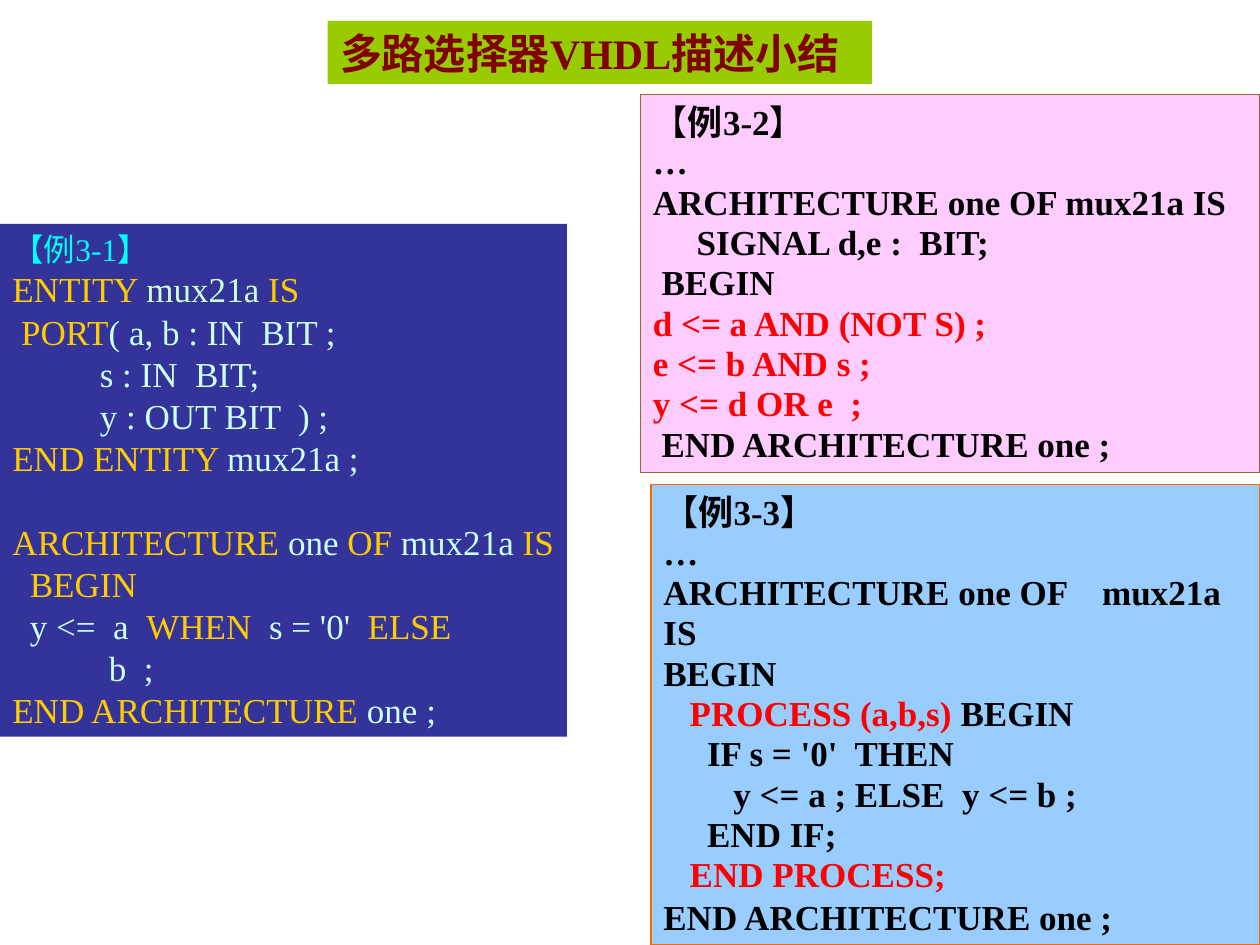
import pptx
import pptx.dml.color
import pptx.enum.shapes
import pptx.enum.text
import pptx.util

Pt = pptx.util.Pt
FONT = "Times New Roman"
KEYWORD, NAME, CYAN, MINT = "FFCC00", "CCFFFF", "00FFFF", "CCFFCC"
BLACK, RED, MAROON = "000000", "FF0000", "800000"

# Each line is a list of (text, colour) runs.
WHEN_ELSE_ENTITY = [
    [("ENTITY ", KEYWORD), ("mux21a ", MINT), ("IS", KEYWORD)],
    [(" ", BLACK), ("PORT", KEYWORD), ("( a, b : IN  BIT ;", NAME)],
    [("          s : IN  BIT;", NAME)],
    [("          y : OUT BIT  ) ;", NAME)],
    [("END ENTITY ", KEYWORD), ("mux21a ;", NAME)],
]
WHEN_ELSE_ARCHITECTURE = [
    [("ARCHITECTURE ", KEYWORD), ("one ", NAME), ("OF ", KEYWORD),
     ("mux21a ", NAME), ("IS", KEYWORD)],
    [("  ", BLACK), ("BEGIN", KEYWORD)],
    [("  ", BLACK), ("y <=  a  ", NAME), ("WHEN  ", KEYWORD),
     ("s = '0'  ", NAME), ("ELSE", KEYWORD)],
    [("           ", BLACK), ("b  ;", NAME)],
    [("END ARCHITECTURE ", KEYWORD), ("one ;", NAME)],
]
SIGNAL_BODY = [
    [("…", BLACK)],
    [("ARCHITECTURE one OF mux21a IS", BLACK)],
    [("     SIGNAL d,e :  BIT;", BLACK)],
    [(" BEGIN", BLACK)],
    [("d <= a AND (NOT S) ;", RED)],
    [("e <= b AND s ;", RED)],
    [("y <= d OR e  ;", RED)],
    [(" END ARCHITECTURE one ;", BLACK)],
]
PROCESS_BODY = [
    [("…", BLACK)],
    [("ARCHITECTURE one OF    mux21a IS", BLACK)],
    [("BEGIN", BLACK)],
    [("   ", BLACK), ("PROCESS (a,b,s)", RED), (" BEGIN", BLACK)],
    [("     IF s = '0'  THEN", BLACK)],
    [("        y <= a ; ELSE  y <= b ;", BLACK)],
    [("     END IF;", BLACK)],
    [("   ", BLACK), ("END PROCESS;", RED)],
]


def rgb(value):
    return pptx.dml.color.RGBColor.from_string(value)


def add_panel(slide, left, top, width, height, fill, border=None, wrap=True):
    """Add a filled rectangle and return its empty text frame."""
    panel = slide.shapes.add_shape(
        pptx.enum.shapes.MSO_SHAPE.RECTANGLE,
        Pt(left), Pt(top), Pt(width), Pt(height))
    panel.shadow.inherit = False
    panel.fill.solid()
    panel.fill.fore_color.rgb = rgb(fill)
    if border:
        panel.line.color.rgb = rgb(border)
        panel.line.width = Pt(0.75)
    else:
        panel.line.fill.background()
    frame = panel.text_frame
    frame.word_wrap = wrap
    frame.auto_size = pptx.enum.text.MSO_AUTO_SIZE.SHAPE_TO_FIT_TEXT
    frame.vertical_anchor = pptx.enum.text.MSO_ANCHOR.TOP
    return frame


def add_line(frame, runs, size=20, bold=False, spacing=None, before=None):
    """Add one paragraph, filling the frame's first paragraph if it is empty."""
    first = frame.paragraphs[0]
    line = frame.add_paragraph() if first.runs else first
    line.alignment = pptx.enum.text.PP_ALIGN.LEFT
    if spacing:
        line.line_spacing = spacing
    if before:
        line.space_before = Pt(before)
    for text, colour in runs:
        run = line.add_run()
        run.text = text
        run.font.name = FONT
        run.font.size = Pt(size)
        run.font.bold = bold
        run.font.color.rgb = rgb(colour)
    return line


def add_code(frame, lines, **style):
    for runs in lines:
        add_line(frame, runs, **style)


def main():
    deck = pptx.Presentation()
    deck.slide_width, deck.slide_height = Pt(720), Pt(540)
    slide = deck.slides.add_slide(deck.slide_layouts[6])

    when_else = add_panel(slide, 0, 128, 324, 293, "333399", wrap=False)
    add_line(when_else, [("【例3-1】", CYAN)], size=18)
    add_code(when_else, WHEN_ELSE_ENTITY)
    add_line(when_else, WHEN_ELSE_ARCHITECTURE[0], before=24)
    add_code(when_else, WHEN_ELSE_ARCHITECTURE[1:])

    signals = add_panel(slide, 366, 54, 354, 216, "FFCCFF", "996633")
    heading = add_line(
        signals, [("【", BLACK), ("例3-2", BLACK), ("】", BLACK)])
    heading.runs[1].font.bold = True
    add_code(signals, SIGNAL_BODY, bold=True, spacing=0.96)

    process = add_panel(slide, 372, 277, 348, 263, "99CCFF", "FF6600")
    add_line(process, [("【例3-3】", BLACK)], bold=True)
    add_code(process, PROCESS_BODY, bold=True, spacing=0.96)
    add_line(process, [("END ARCHITECTURE one ;", BLACK)], bold=True)

    title = add_panel(slide, 187.2, 12, 311, 36, "99CC00", wrap=False)
    add_line(title, [("多路选择器VHDL描述小结", MAROON)], size=24, bold=True)

    deck.save("out.pptx")


if __name__ == "__main__":
    main()
